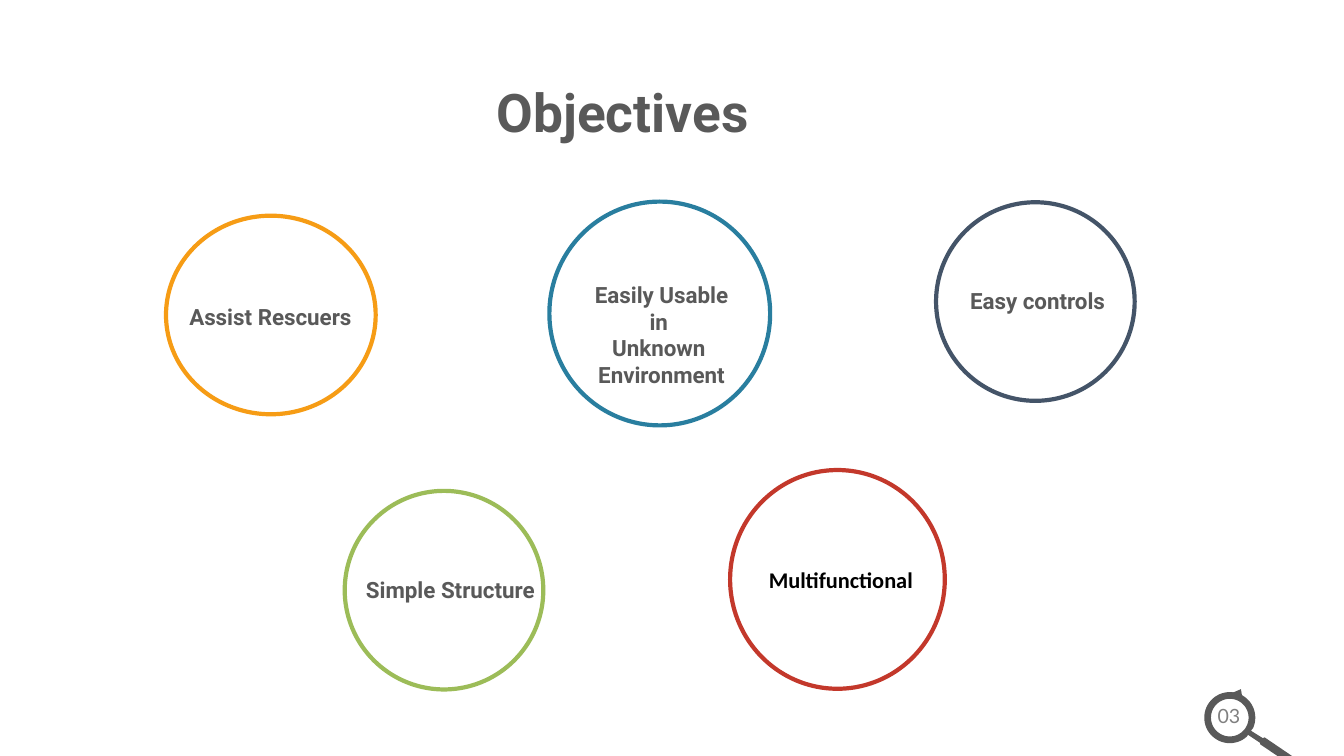
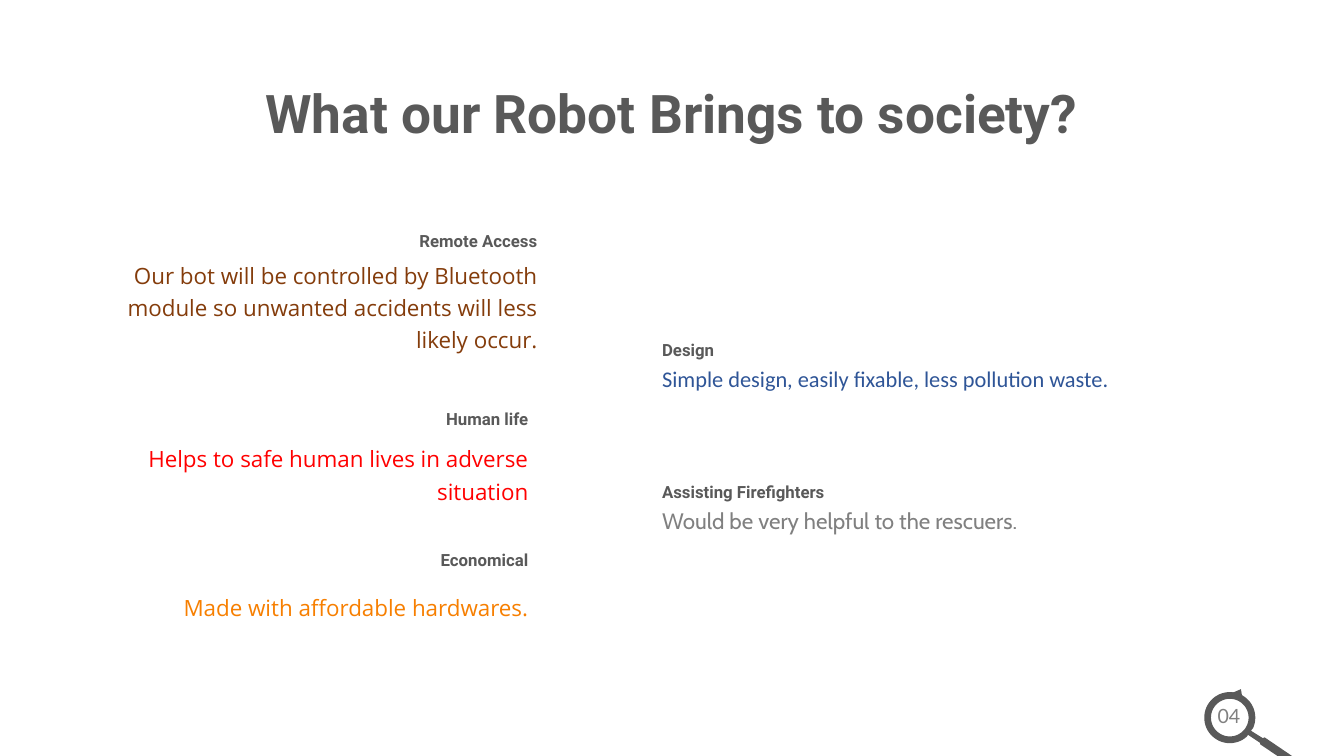
from dataclasses import dataclass
from math import cos, radians, sin

from pptx import Presentation
from pptx.dml.color import RGBColor
from pptx.enum.shapes import MSO_SHAPE as Preset
from pptx.enum.text import MSO_ANCHOR as Anchor, MSO_AUTO_SIZE as AutoSize, PP_ALIGN as Align
from pptx.util import Emu, Inches, Pt

# Shared style: a grid of square cells, 40 across the slide and 22.5 down
SLIDE_WIDTH, SLIDE_HEIGHT = Inches(13.333), Inches(7.5)
CELL = SLIDE_HEIGHT / 22.5
DARK, GRAY, WHITE, BLACK = "595959", "808080", "FFFFFF", "000000"
HEADING_FONT, BODY_FONT = "Roboto", "Open Sans"
TITLE_ONLY = 5


@dataclass(frozen=True)
class Box:
    left: float
    top: float
    width: float
    height: float

    def emu(self) -> tuple:
        return tuple(cells(v) for v in (self.left, self.top, self.width, self.height))


@dataclass(frozen=True)
class Objective:
    text: str
    color: str
    circle: Box
    label: Box
    font: str = HEADING_FONT
    text_color: str = DARK


@dataclass(frozen=True)
class Benefit:
    heading: str
    body: str
    color: str
    edge: float
    heading_top: float
    heading_width: float
    body_top: float
    body_width: float
    body_height: float
    align: Align = Align.RIGHT
    font: str = BODY_FONT
    spacing: float = 1.2

    def box(self, top: float, width: float, height: float) -> Box:
        """Place a box against the column edge that its text is aligned to."""
        left = self.edge - width if self.align == Align.RIGHT else self.edge
        return Box(left, top, width, height)


OBJECTIVES = (
    Objective("Assist Rescuers", "F69C15", Box(4.94, 6.42, 6.24, 5.91), Box(4.81, 8.88, 6.48, 1.1)),
    Objective("Multifunctional", "C3382B", Box(21.73, 13.99, 6.39, 6.51),
              Box(21.92, 16.71, 6.21, 1.1), "Calibri", BLACK),
    Objective("Simple Structure", "9CBC58", Box(10.26, 14.61, 5.91, 5.91),
              Box(10.21, 17.01, 6.39, 1.1)),
    Objective("Easy controls", "445468", Box(27.86, 6.02, 5.91, 5.91), Box(28.48, 8.4, 4.8, 1.1)),
    Objective("Easily Usable in \nUnknown \nEnvironment", "297E9F", Box(16.35, 6, 6.57, 6.66),
              Box(17.11, 8.21, 5.16, 2.73)),
)

BENEFITS = (
    Benefit("Remote Access",
            "Our bot will be controlled by Bluetooth module so unwanted accidents "
            "will less likely occur.",
            "843C0B", 16.29, 6.72, 4.44, 7.48, 13.86, 2.16),
    Benefit("Human life", "Helps to safe human lives in adverse situation",
            "FF0000", 16.02, 12.03, 3.54, 12.95, 13.59, 2.16),
    Benefit("Economical", "Made with affordable hardwares.",
            "F77F00", 16.02, 16.21, 3.54, 17.38, 13.59, 1.2),
    Benefit("Design", "Simple design, easily fixable, less pollution waste.",
            "2F5597", 19.41, 9.96, 4.2, 10.71, 14.46, 1.1, Align.LEFT, "Calibri", 1.0),
    Benefit("Assisting Firefighters", "Would be very helpful to the rescuers.",
            GRAY, 19.41, 14.19, 7.08, 14.94, 14.46, 1.1, Align.LEFT, "Cabin", 1.0),
)

# Magnifier, in cells: lens centre and radii, then the corners of neck and grip
LENS_X, LENS_Y, RIM_RADIUS, GLASS_RADIUS = 36.6, 21.36, 0.76, 0.56
HANDLE = ((37.23, 21.75), (37.58, 21.97), (37.64, 21.95), (38.76, 22.71), (38.82, 22.8),
          (38.76, 22.88), (38.64, 22.92), (37.5, 22.15), (37.5, 22.11), (37.14, 21.87))


def cells(count: float) -> Emu:
    return Emu(round(count * CELL))


def rgb(color: str) -> RGBColor:
    return RGBColor.from_string(color)


def write(shape, text: str, *, size: float, font: str = HEADING_FONT, color: str = DARK,
          bold: bool = False, align: Align = Align.CENTER, spacing: float = 1.0,
          anchor: Anchor = Anchor.TOP) -> None:
    frame = shape.text_frame
    frame.word_wrap = True
    frame.auto_size = AutoSize.NONE
    frame.vertical_anchor = anchor
    frame.text = text
    for paragraph in frame.paragraphs:
        paragraph.alignment = align
        paragraph.line_spacing = spacing
        for run in paragraph.runs:
            run.font.name = font
            run.font.size = Pt(size)
            run.font.bold = bold
            run.font.color.rgb = rgb(color)


def add_text(shapes, box: Box, text: str, **style) -> None:
    write(shapes.add_textbox(*box.emu()), text, **style)


def paint(shape, fill: str, line: str = "") -> None:
    shape.shadow.inherit = False
    shape.fill.solid()
    shape.fill.fore_color.rgb = rgb(fill)
    if line:
        shape.line.color.rgb = rgb(line)
        shape.line.width = Pt(3)
    else:
        shape.line.fill.background()


def add_preset(shapes, preset: Preset, box: Box, fill: str, line: str = ""):
    shape = shapes.add_shape(preset, *box.emu())
    paint(shape, fill, line)
    return shape


def lens_arc(radius: float, start: int, stop: int, step: int) -> list:
    return [(LENS_X + radius * cos(radians(angle)), LENS_Y + radius * sin(radians(angle)))
            for angle in range(start, stop, step)]


def add_magnifier(shapes) -> None:
    """Draw rim and handle as one outline, with the glass as its hole."""
    outline, glass = (
        [(cells(x), cells(y)) for x, y in points]
        for points in ((*HANDLE, *lens_arc(RIM_RADIUS, 48, 390, 6)),
                       lens_arc(GLASS_RADIUS, 360, 0, -6)))
    builder = shapes.build_freeform(*outline[0])
    builder.add_line_segments(outline[1:], close=True)
    builder.move_to(*glass[0])
    builder.add_line_segments(glass[1:], close=True)
    paint(builder.convert_to_shape(), DARK)


def add_page_number(slide, number: int) -> None:
    shapes = slide.shapes.add_group_shape().shapes
    add_text(shapes, Box(35.66, 20.79, 1.83, 1.02), f"{number:02}",
             size=14, font="Lato", color=GRAY)
    tip = add_preset(shapes, Preset.RIGHT_ARROW, Box(36.69, 20.49, 0.33, 0.33), DARK)
    tip.adjustments[0], tip.adjustments[1] = 0.32, 0.64
    tip.rotation = 298.7
    add_magnifier(shapes)


def add_page(presentation, title: str, title_box: Box, number: int):
    slide = presentation.slides.add_slide(presentation.slide_layouts[TITLE_ONLY])
    heading = slide.shapes.title
    heading.left, heading.top, heading.width, heading.height = title_box.emu()
    write(heading, title, size=38, bold=True, spacing=0.9, anchor=Anchor.MIDDLE)
    add_page_number(slide, number)
    return slide


def add_objective(slide, objective: Objective) -> None:
    shapes = slide.shapes.add_group_shape().shapes
    add_preset(shapes, Preset.OVAL, objective.circle, WHITE, objective.color)
    add_text(shapes, objective.label, objective.text, size=16, bold=True,
             font=objective.font, color=objective.text_color)


def add_benefit(slide, benefit: Benefit) -> None:
    shapes = slide.shapes.add_group_shape().shapes
    add_text(shapes, benefit.box(benefit.heading_top, benefit.heading_width, 0.9),
             benefit.heading, size=12, bold=True, align=benefit.align)
    add_text(shapes, benefit.box(benefit.body_top, benefit.body_width, benefit.body_height),
             benefit.body, size=16, font=benefit.font, color=benefit.color,
             align=benefit.align, spacing=benefit.spacing)


def main() -> None:
    presentation = Presentation()
    presentation.slide_width, presentation.slide_height = SLIDE_WIDTH, SLIDE_HEIGHT

    # Objectives
    slide = add_page(presentation, "Objectives", Box(3.53, 2.2, 30, 2.46), 3)
    for objective in OBJECTIVES:
        add_objective(slide, objective)

    # Benefits to society
    slide = add_page(presentation, "What our Robot Brings to society?",
                     Box(4.99, 2.22, 30, 2.46), 4)
    for benefit in BENEFITS:
        add_benefit(slide, benefit)

    presentation.save("out.pptx")


if __name__ == "__main__":
    main()
